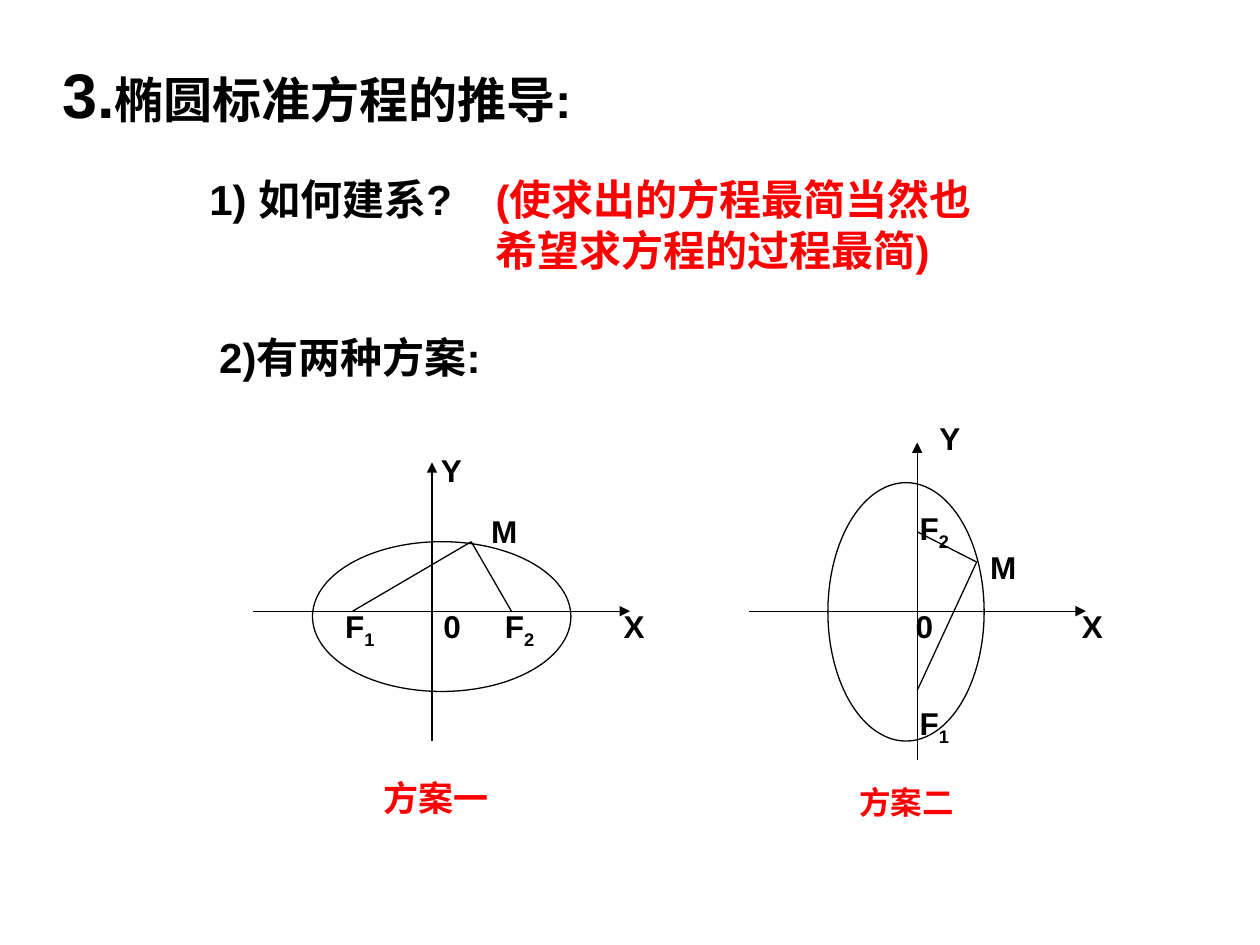
from lxml.etree import SubElement
from pptx import Presentation
from pptx.dml.color import RGBColor
from pptx.enum.shapes import MSO_CONNECTOR as Connector, MSO_SHAPE as Shape
from pptx.enum.text import MSO_ANCHOR as Anchor, MSO_AUTO_SIZE as AutoSize, PP_ALIGN as Align
from pptx.oxml.ns import qn
from pptx.util import Cm, Pt

COLORS = {"ink": "000000", "accent": "FF0000", "paper": "FFFFFF"}
LABEL_SIZE = (1.2, 1.02)

# Each scheme: box origin on the slide, then parts relative to that origin (cm)
SCHEMES = [
    {
        "origin": (5.1, 8.97),
        "ellipse": (1.2, 1.95, 5.21, 3.02),
        "x_axis": ((0, 3.35), (7.6, 3.35)),
        "y_axis": ((3.61, 5.97), (3.61, 0.35)),
        "point": (4.4, 1.95),
        "foci": [(2.01, 3.35), (5.21, 3.35)],
        "labels": [("Y", "", 3.54, 0), ("M", "", 4.55, 1.22), ("F", "1", 1.61, 3.15),
                   ("0", "", 3.59, 3.15), ("F", "2", 4.83, 3.15), ("X", "", 7.22, 3.15)],
        "caption": ("方案一", (2.39, 6.55, 5, 1.09), 20),
    },
    {
        "origin": (15.09, 8.33),
        "ellipse": (1.6, 1.4, 3.15, 5.21),
        "x_axis": ((0, 3.99), (6.8, 3.99)),
        "y_axis": ((3.4, 6.99), (3.4, 0.59)),
        "point": (4.6, 3),
        "foci": [(3.4, 5.59), (3.4, 2.39)],
        "labels": [("Y", "", 3.6, 0), ("F", "2", 3.2, 1.8), ("M", "", 4.62, 2.59),
                   ("0", "", 3.12, 3.79), ("X", "", 6.47, 3.79), ("F", "1", 3.2, 5.74)],
        "caption": ("方案二", (1.98, 7.34, 5.72, 1.02), 18),
    },
]


def color(name):
    return RGBColor.from_string(COLORS[name])


def apply_format(target, values):
    for name, value in values.items():
        setattr(target, name, value)


def add_run(paragraph, text, size, ink="ink"):
    run = paragraph.add_run()
    run.text = text
    apply_format(run.font, {"name": "Arial", "size": Pt(size), "bold": True})
    run.font.color.rgb = color(ink)
    return run


def add_text(slide, text, box, size, ink="ink"):
    shape = slide.shapes.add_textbox(*map(Cm, box))
    shape.text_frame.word_wrap = True
    paragraph = shape.text_frame.paragraphs[0]
    add_run(paragraph, text, size, ink)
    return paragraph


def add_label(slide, letter, subscript, left, top):
    paragraph = add_text(slide, letter, (left, top, *LABEL_SIZE), 18)
    if subscript:
        run = add_run(paragraph, subscript, 18)
        run._r.get_or_add_rPr().set("baseline", "-25000")


def add_line(slide, start, end, arrow=False):
    line = slide.shapes.add_connector(Connector.STRAIGHT, *map(Cm, (*start, *end)))
    line.line.color.rgb = color("ink")
    line.line.width = Pt(0.75)
    if arrow:
        SubElement(line.line._get_or_add_ln(), qn("a:tailEnd"), type="triangle")
    SubElement(line._element.spPr, qn("a:effectLst"))


def add_title(slide, box):
    title = slide.shapes.title
    apply_format(title, dict(zip(("left", "top", "width", "height"), map(Cm, box))))
    apply_format(title.text_frame, {"word_wrap": True, "auto_size": AutoSize.NONE,
                                    "vertical_anchor": Anchor.TOP})
    paragraph = title.text_frame.paragraphs[0]
    paragraph.alignment = Align.LEFT
    add_run(paragraph, "3.", 36)
    add_run(paragraph, "椭圆标准方程的推导:", 28)


def add_questions(slide, left, top):
    add_text(slide, "1) 如何建系?", (left, top, 5.8, 1.27), 24)
    add_text(slide, "(使求出的方程最简当然也希望求方程的过程最简)",
             (left + 5.77, top, 10.92, 2.31), 24, "accent")
    add_text(slide, "2)有两种方案:", (left + 0.2, top + 3.17, 5.87, 2.31), 24)


def add_scheme(slide, scheme):
    x, y = scheme["origin"]

    def place(point):
        return x + point[0], y + point[1]

    # Ellipse
    left, top, width, height = scheme["ellipse"]
    ellipse = slide.shapes.add_shape(
        Shape.OVAL, *map(Cm, (*place((left, top)), width, height)))
    ellipse.shadow.inherit = False
    ellipse.fill.solid()
    ellipse.fill.fore_color.rgb = color("paper")
    ellipse.line.color.rgb = color("ink")
    ellipse.line.width = Pt(0.75)

    # Axes and focal radii
    for axis in ("x_axis", "y_axis"):
        add_line(slide, *map(place, scheme[axis]), arrow=True)
    for focus in scheme["foci"]:
        add_line(slide, place(scheme["point"]), place(focus))

    # Labels and caption
    for letter, subscript, *corner in scheme["labels"]:
        add_label(slide, letter, subscript, *place(corner))
    text, (left, top, width, height), size = scheme["caption"]
    add_text(slide, text, (*place((left, top)), width, height), size, "accent")


def main():
    presentation = Presentation()
    presentation.slide_width, presentation.slide_height = Cm(25.4), Cm(19.05)
    slide = presentation.slides.add_slide(presentation.slide_layouts[5])
    add_title(slide, (1, 1, 13.61, 1.78))
    add_questions(slide, 3.97, 3.38)
    for scheme in SCHEMES:
        add_scheme(slide, scheme)
    presentation.save("out.pptx")


if __name__ == "__main__":
    main()
